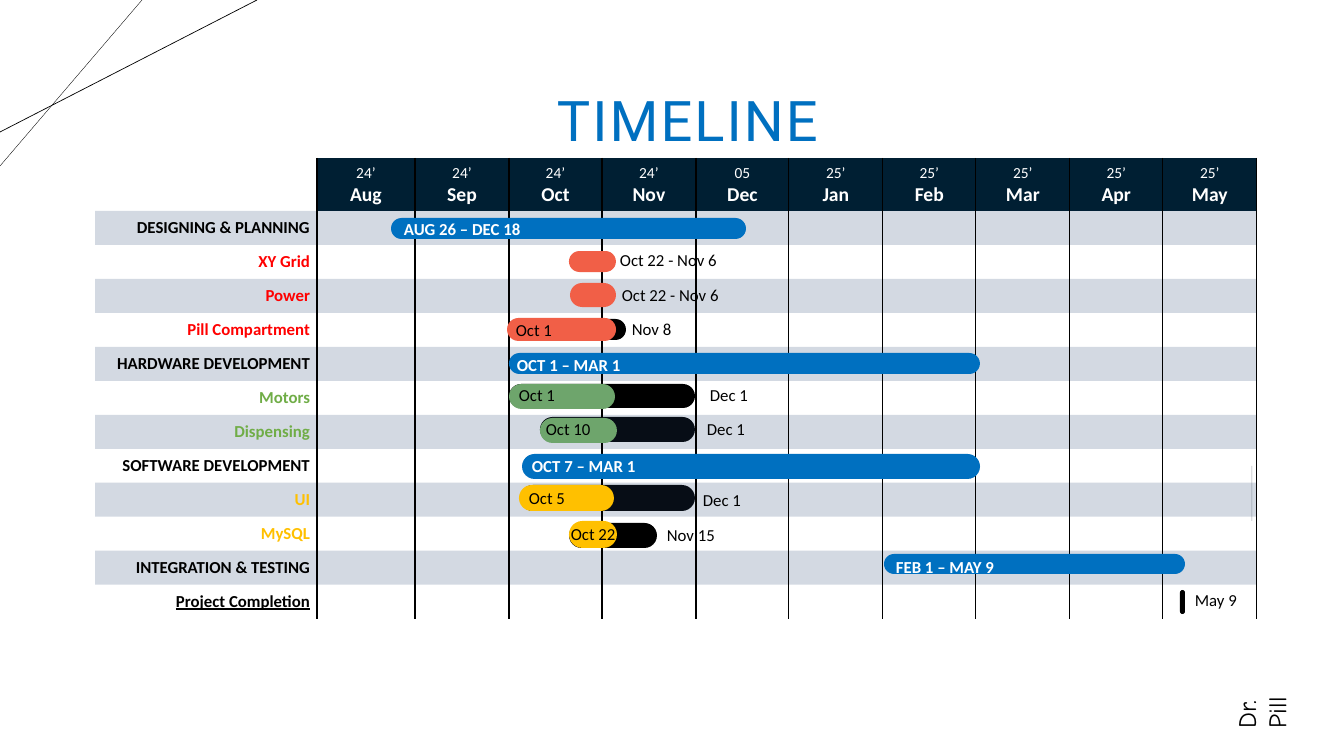
import pptx
import pptx.util
import pptx.oxml
import pptx.oxml.ns
from pptx.dml.color import RGBColor
from pptx.enum.shapes import MSO_CONNECTOR, MSO_SHAPE
from pptx.enum.text import MSO_ANCHOR, MSO_AUTO_SIZE, PP_ALIGN
from lxml import etree

PX = 914400 / 100.8
BLACK = RGBColor(0x00, 0x00, 0x00)
WHITE = RGBColor(0xFF, 0xFF, 0xFF)
NAVY = RGBColor(0x00, 0x1F, 0x33)
BAND = RGBColor(0x24, 0x44, 0x70)
SLATE = RGBColor(0x3F, 0x47, 0x54)
BLUE = RGBColor(0x00, 0x70, 0xC0)
CORAL = RGBColor(0xF1, 0x5F, 0x47)
GREEN = RGBColor(0x6E, 0xA5, 0x6C)
YELLOW = RGBColor(0xFF, 0xC0, 0x00)
RED = RGBColor(0xFF, 0x00, 0x00)
LEAF = RGBColor(0x70, 0xAD, 0x47)


def px(*lengths):
    return [pptx.util.Emu(round(length * PX)) for length in lengths]


def write(para, text, size=12, color=BLACK, font="Calibri", bold=False,
          underline=False, align=PP_ALIGN.LEFT):
    para.alignment = align
    span = para.add_run()
    span.text = text
    span.font.size = pptx.util.Pt(size)
    span.font.name = font
    span.font.bold = bold
    span.font.underline = underline
    span.font.color.rgb = color
    return span


deck = pptx.Presentation()
deck.slide_width, deck.slide_height = px(1344, 756)
page = deck.slides.add_slide(deck.slide_layouts[5])

# Title
title = page.shapes.title
title.left, title.top, title.width, title.height = px(303, 74, 769, 85)
title.text_frame.vertical_anchor = MSO_ANCHOR.BOTTOM
title.text_frame.auto_size = MSO_AUTO_SIZE.NONE
title.text_frame.word_wrap = True
heading = title.text_frame.paragraphs[0]
heading.line_spacing = 0.9
span = write(heading, "TIMELINE", size=40, color=BLUE, font="Roboto",
             align=PP_ALIGN.CENTER)
span.font._element.set("spc", "150")

# Corner lines and the faint line at the right
for ends, color, weight, opacity in [
    ((142, 0, 0, 166), BLACK, 0.25, 100),
    ((257, 0, 0, 132), BLACK, 0.5, 100),
    ((1252, 466, 1252, 521), SLATE, 0.38, 50),
]:
    line = page.shapes.add_connector(MSO_CONNECTOR.STRAIGHT, *px(*ends))
    line.line.color.rgb = color
    line.line.width = pptx.util.Pt(weight)
    properties = line._element.spPr
    etree.SubElement(properties, pptx.oxml.ns.qn("a:effectLst"))
    if opacity < 100:
        tint = properties.find(".//" + pptx.oxml.ns.qn("a:srgbClr"))
        etree.SubElement(tint, pptx.oxml.ns.qn("a:alpha"), val=str(opacity * 1000))

# Project name, turned sideways
box = page.shapes.add_textbox(*px(1203, 675, 86, 40))
box.rotation = 270
box.text_frame.word_wrap = True
box.text_frame.auto_size = MSO_AUTO_SIZE.SHAPE_TO_FIT_TEXT
write(box.text_frame.paragraphs[0], "Dr. Pill", size=18, font="Comic Neue")

# Calendar table
months = [("24’", "Aug"), ("24’", "Sep"), ("24’", "Oct"), ("24’", "Nov"),
          ("05", "Dec"), ("25’", "Jan"), ("25’", "Feb"), ("25’", "Mar"),
          ("25’", "Apr"), ("25’", "May")]
tasks = [("DESIGNING & PLANNING", BLACK), ("XY Grid", RED), ("Power", RED),
         ("Pill Compartment", RED), ("HARDWARE DEVELOPMENT", BLACK),
         ("Motors", LEAF), ("Dispensing", LEAF), ("SOFTWARE DEVELOPMENT", BLACK),
         ("UI", YELLOW), ("MySQL", YELLOW), ("INTEGRATION & TESTING", BLACK),
         ("Project Completion", BLACK)]
edges = [95, 317] + [415 + round(842 * step / 9) for step in range(10)]
calendar = page.shapes.add_table(len(tasks) + 1, len(months) + 1,
                                 *px(95, 158, 1162, 461))
table = calendar.table
table.first_row = False
table.horz_banding = False
style = table._tbl.tblPr.find(pptx.oxml.ns.qn("a:tableStyleId"))
style.text = "{2D5ABB26-0587-4C30-8999-92F81FD0307C}"
for column, left, right in zip(table.columns, edges, edges[1:]):
    column.width = px(right - left)[0]
for index, row in enumerate(table.rows):
    row.height = px(34 if index else 53)[0]

for row in range(len(tasks) + 1):
    for column in range(len(months) + 1):
        cell = table.cell(row, column)
        filled = (row == 0) != (column == 0)
        cell.margin_left, cell.margin_right = px(7, 7)
        cell.margin_top, cell.margin_bottom = px(4, 4) if filled else px(0, 0)
        cell.vertical_anchor = MSO_ANCHOR.MIDDLE if row else MSO_ANCHOR.BOTTOM
        para = cell.text_frame.paragraphs[0]
        if row == 0 and column:
            year, month = months[column - 1]
            write(para, year, size=11, color=WHITE, align=PP_ALIGN.CENTER)
            write(cell.text_frame.add_paragraph(), month, size=14, color=WHITE,
                  bold=True, align=PP_ALIGN.CENTER)
        elif filled:
            task, color = tasks[row - 1]
            write(para, task, color=color, bold=True, align=PP_ALIGN.RIGHT,
                  underline=row == len(tasks))

        # Dark header, pale band on odd rows
        properties = cell._tc.get_or_add_tcPr()
        if row % 2 or filled and row == 0:
            cell.fill.solid()
            cell.fill.fore_color.rgb = BAND if row else NAVY
            if row:
                tint = properties.find(".//" + pptx.oxml.ns.qn("a:srgbClr"))
                etree.SubElement(tint, pptx.oxml.ns.qn("a:alpha"), val="20000")
        else:
            cell.fill.background()

        # Month rules
        for place, side in enumerate(["lnL", "lnR"] if column else ["lnR"]):
            properties.insert(place, pptx.oxml.parse_xml(
                f'<a:{side} {pptx.oxml.ns.nsdecls("a")} w="12700"><a:solidFill>'
                '<a:srgbClr val="000000"><a:alpha val="30000"/></a:srgbClr>'
                f'</a:solidFill><a:prstDash val="solid"/></a:{side}>'))

# Bars: the remaining time lies behind the table, the rest in front
remaining = [(510, 319, 116, 21), (540, 417, 155, 25), (509, 384, 186, 24),
             (520, 485, 175, 26), (569, 523, 88, 25)]
progress = [
    (CORAL, [(569, 251, 47, 21), (570, 283, 46, 24), (507, 318, 109, 23)]),
    (GREEN, [(509, 384, 106, 25), (540, 418, 77, 25)]),
    (YELLOW, [(519, 485, 95, 26), (569, 521, 48, 27)]),
    (BLUE, [(884, 554, 301, 20), (391, 218, 355, 21), (509, 353, 471, 21),
            (522, 454, 458, 25)]),
    (BLACK, [(1180, 590, 5, 24)]),
]
for color, places in [(BLACK, remaining)] + progress:
    for place in places:
        bar = page.shapes.add_shape(MSO_SHAPE.ROUNDED_RECTANGLE, *px(*place))
        bar.adjustments[0] = 0.5
        bar.shadow.inherit = False
        bar.fill.solid()
        bar.fill.fore_color.rgb = color
        bar.line.fill.background()
        if places is remaining:
            calendar._element.addprevious(bar._element)

# Date labels: left, top, width
for text, left, top, width, color in [
    ("AUG 26 – DEC 18", 394, 219, 144, WHITE),
    ("Oct 22 - Nov 6", 610, 250, 119, BLACK),
    ("Oct 22 - Nov 6", 612, 285, 119, BLACK),
    ("Oct 1", 506, 320, 57, BLACK),
    ("Nov 8", 622, 319, 60, BLACK),
    ("OCT 1 – MAR 1", 507, 355, 132, WHITE),
    ("Oct 1", 509, 385, 57, BLACK),
    ("Dec 1", 700, 385, 58, BLACK),
    ("Oct 10", 536, 419, 66, BLACK),
    ("Dec 1", 697, 419, 58, BLACK),
    ("OCT 7 – MAR 1", 522, 456, 132, WHITE),
    ("Oct 5", 519, 488, 57, BLACK),
    ("Dec 1", 693, 490, 58, BLACK),
    ("Oct 22", 561, 524, 67, BLACK),
    ("Nov 15", 657, 525, 70, BLACK),
    ("FEB 1 – MAY 9", 886, 557, 126, WHITE),
    ("May 9", 1185, 590, 64, BLACK),
]:
    box = page.shapes.add_textbox(*px(left, top, width, 20))
    frame = box.text_frame
    frame.margin_top = frame.margin_bottom = 0
    frame.word_wrap = False
    frame.auto_size = MSO_AUTO_SIZE.SHAPE_TO_FIT_TEXT
    frame.vertical_anchor = MSO_ANCHOR.MIDDLE
    write(frame.paragraphs[0], text, color=color, bold=color == WHITE)

deck.save("out.pptx")
